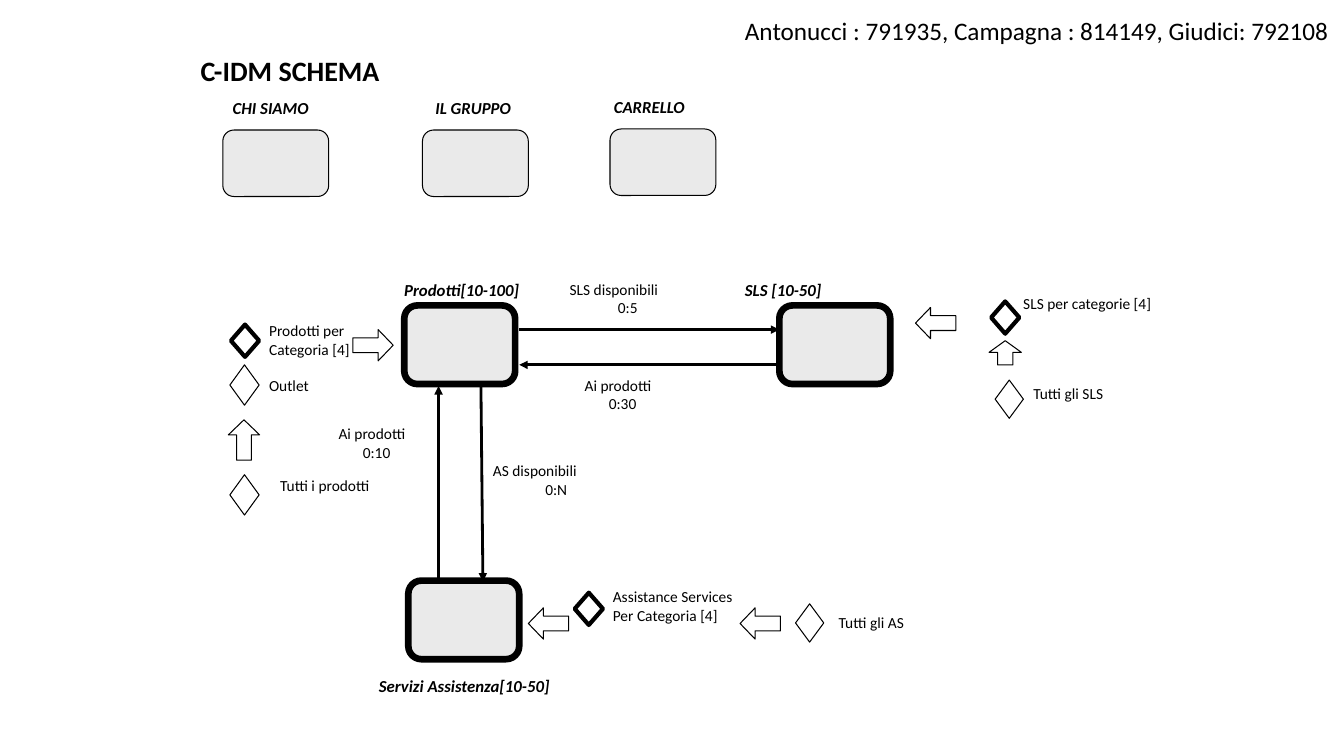
from dataclasses import dataclass

from lxml.etree import SubElement
from pptx import Presentation
from pptx.dml.color import RGBColor
from pptx.enum.shapes import MSO_CONNECTOR, MSO_SHAPE
from pptx.enum.text import MSO_ANCHOR, MSO_AUTO_SIZE, PP_ALIGN
from pptx.oxml.ns import qn
from pptx.util import Inches, Pt


@dataclass(frozen=True)
class Theme:
    font: str = "Calibri"
    ink: RGBColor = RGBColor(0, 0, 0)
    paper: RGBColor = RGBColor(255, 255, 255)
    box: RGBColor = RGBColor(0xEA, 0xEA, 0xEA)
    title: int = 20
    header: int = 18
    topic: int = 12
    label: int = 11
    thin: float = 0.75
    link: float = 2
    bold: float = 3
    heavy: float = 4.75


class Schema:
    def __init__(self, slide, theme):
        self.slide = slide
        self.theme = theme

    def set_text(self, sp, lines, size, bold=False, italic=False, indent=0):
        tf = sp.text_frame
        tf.text = "\n".join(lines)
        tf.word_wrap = False
        tf.auto_size = MSO_AUTO_SIZE.NONE
        tf.vertical_anchor = MSO_ANCHOR.TOP
        for p in tf.paragraphs:
            p.alignment = PP_ALIGN.LEFT
            p.font.name = self.theme.font
            p.font.size = Pt(size)
            p.font.bold = bold
            p.font.italic = italic
            p.font.color.rgb = self.theme.ink
        if indent:
            p._p.get_or_add_pPr().set("marL", str(Inches(indent)))

    def title(self, text, x, y, w, h):
        sp = self.slide.shapes.title
        sp.left, sp.top, sp.width, sp.height = map(Inches, (x, y, w, h))
        self.set_text(sp, [text], self.theme.title, bold=True)

    def text(self, lines, x, y, w, h, size, **style):
        sp = self.slide.shapes.add_textbox(*map(Inches, (x, y, w, h)))
        self.set_text(sp, lines, size, **style)

    def topic(self, text, x, y, w):
        self.text([text], x, y, w, 0.3, self.theme.topic, bold=True, italic=True)

    def label(self, lines, x, y, w, indent=0):
        h = 0.29 if len(lines) == 1 else 0.47
        self.text(lines, x, y, w, h, self.theme.label, indent=indent)

    def shape(self, kind, x, y, w, h, line, fill=None):
        sp = self.slide.shapes.add_shape(kind, *map(Inches, (x, y, w, h)))
        sp.shadow.inherit = False
        sp.line.color.rgb = self.theme.ink
        sp.line.width = Pt(line)
        if fill is None:
            sp.fill.background()
        else:
            sp.fill.solid()
            sp.fill.fore_color.rgb = fill
        return sp

    def box(self, x, y, w, h, line):
        self.shape(MSO_SHAPE.ROUNDED_RECTANGLE, x, y, w, h, line, self.theme.box)

    def diamond(self, x, y, w, h, line):
        self.shape(MSO_SHAPE.DIAMOND, x, y, w, h, line, self.theme.paper)

    def arrow(self, x, y, rotation, w=0.4, h=0.31):
        sp = self.shape(MSO_SHAPE.RIGHT_ARROW, x, y, w, h, self.theme.thin)
        sp.adjustments[0], sp.adjustments[1] = 0.475, 0.48
        sp.rotation = rotation

    def link(self, x1, y1, x2, y2):
        s = self.slide.shapes.add_connector(
            MSO_CONNECTOR.STRAIGHT, *map(Inches, (x1, y1, x2, y2)))
        s.line.color.rgb = self.theme.ink
        s.line.width = Pt(self.theme.link)
        SubElement(s.line._get_or_add_ln(), qn("a:tailEnd"), type="triangle")
        SubElement(s._element.spPr, qn("a:effectLst"))


prs = Presentation()
prs.slide_width, prs.slide_height = Inches(13.33), Inches(7.5)
theme = Theme()
schema = Schema(prs.slides.add_slide(prs.slide_layouts[5]), theme)

schema.title("C-IDM SCHEMA", 1.89, 0.48, 2.01, 0.44)
schema.text(["Antonucci : 791935, Campagna : 814149, Giudici: 792108"],
            7.29, 0.1, 6.06, 0.71, theme.header)

for x, y in [(2.21, 1.29), (4.19, 1.29), (6.05, 1.28)]:
    schema.box(x, y, 1.05, 0.66, theme.thin)

for x, y in [(4.01, 3.03), (7.73, 3.03), (4.05, 5.76)]:
    schema.box(x, y, 1.1, 0.78, theme.heavy)

for name, x, y, w in [
    ("CHI SIAMO", 2.21, 0.92, 1),
    ("IL GRUPPO", 4.22, 0.92, 1),
    ("CARRELLO", 5.99, 0.91, 0.96),
    ("Prodotti[10-100]", 3.91, 2.73, 1.39),
    ("SLS [10-50]", 7.29, 2.73, 0.97),
    ("Servizi Assistenza[10-50]", 3.66, 6.65, 1.96),
]:
    schema.topic(name, x, y, w)

for ends in [
    (5.15, 3.27, 7.73, 3.27),
    (7.72, 3.62, 5.15, 3.62),
    (4.77, 3.81, 4.79, 5.77),
    (4.35, 5.78, 4.35, 3.83),
]:
    schema.link(*ends)

for relation, count, x, y, w, indent in [
    ("SLS disponibili", "0:5", 5.55, 2.73, 1.09, 0.48),
    ("Ai prodotti", "0:30", 5.7, 3.68, 0.87, 0.24),
    ("AS disponibili", "0:N", 4.79, 4.53, 1.04, 0.52),
    ("Ai prodotti", "0:10", 3.26, 4.16, 0.87, 0.24),
]:
    schema.label([relation, count], x, y, w, indent)

for x, y in [(2.29, 3.22), (5.7, 5.88), (9.83, 2.99)]:
    schema.diamond(x, y, 0.28, 0.32, theme.bold)

for x, y, w, h in [
    (2.28, 3.62, 0.29, 0.4),
    (2.28, 4.71, 0.29, 0.4),
    (9.87, 3.77, 0.28, 0.38),
    (7.89, 5.99, 0.28, 0.38),
]:
    schema.diamond(x, y, w, h, theme.thin)

for lines, x, y, w in [
    (["Prodotti per", "Categoria [4]"], 2.57, 3.14, 1.01),
    (["Outlet"], 2.57, 3.68, 0.6),
    (["Tutti i prodotti "], 2.68, 4.67, 1.11),
    (["SLS per categorie [4]"], 10.05, 2.87, 1.49),
    (["Tutti gli SLS"], 10.15, 3.76, 0.91),
    (["Assistance Services", "Per Categoria [4]"], 5.98, 5.78, 1.4),
    (["Tutti gli AS"], 8.22, 6.03, 0.87),
]:
    schema.label(lines, x, y, w)

for x, y, rotation in [
    (3.5, 3.27, 0),
    (9.08, 3.05, 180),
    (5.24, 6.03, 180),
    (7.34, 6.03, 180),
    (2.22, 4.21, 270),
]:
    schema.arrow(x, y, rotation)
schema.arrow(9.85, 3.34, 270, 0.24, 0.32)

prs.save("out.pptx")
